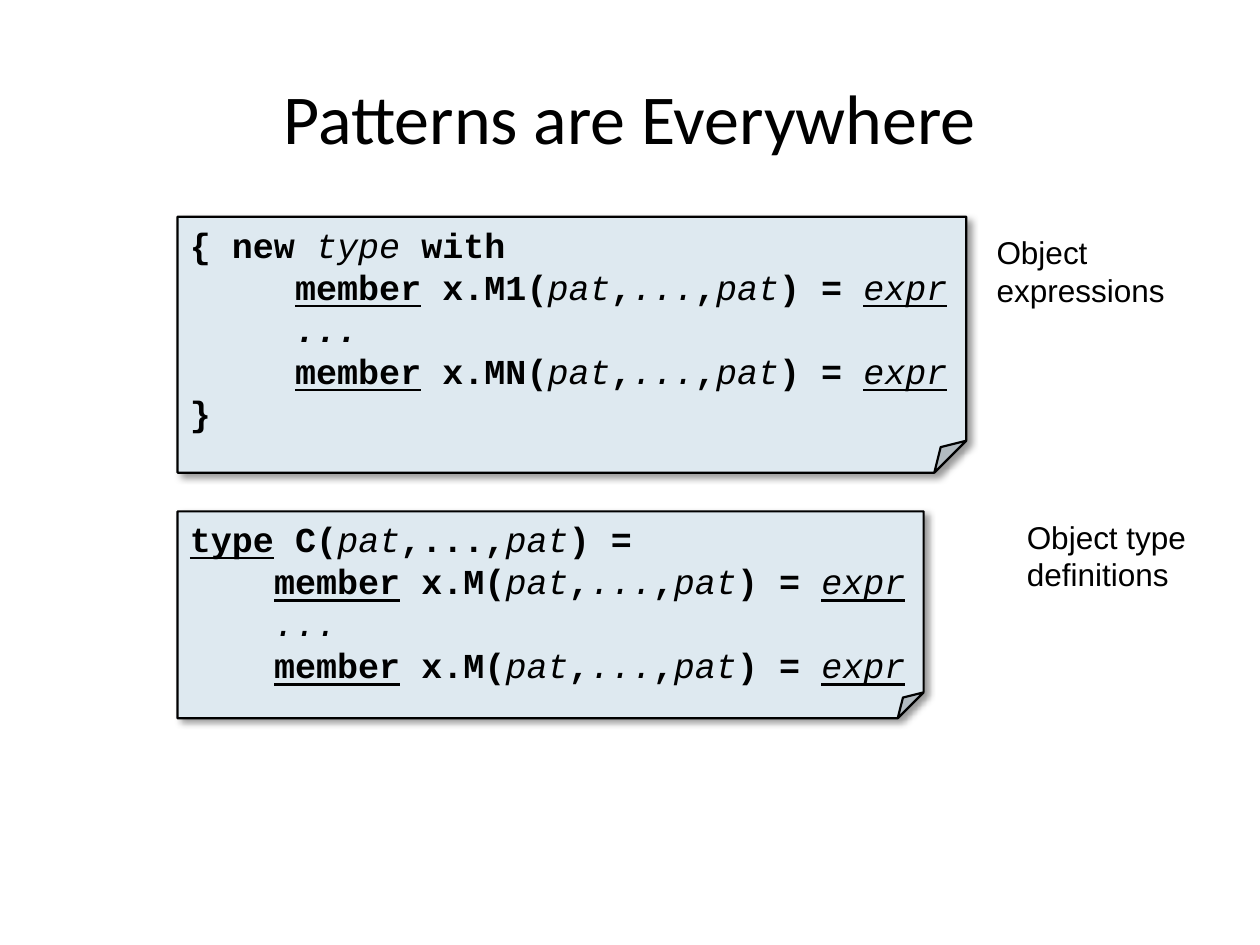
from typing import NamedTuple

from lxml.etree import SubElement
from pptx import Presentation
from pptx.dml.color import RGBColor
from pptx.enum.shapes import MSO_SHAPE
from pptx.enum.text import MSO_ANCHOR, MSO_AUTO_SIZE, PP_ALIGN
from pptx.oxml.ns import qn
from pptx.shapes.autoshape import Shape
from pptx.slide import Slide
from pptx.text.text import TextFrame
from pptx.util import Cm, Pt

BLACK = RGBColor(0x00, 0x00, 0x00)
NOTE_BLUE = RGBColor(0xDE, 0xE9, 0xF0)


class Piece(NamedTuple):
    text: str
    bold: bool = False
    italic: bool = False
    underline: bool = False


class Box(NamedTuple):
    left: float
    top: float
    width: float
    height: float


class Note(NamedTuple):
    box: Box
    lines: list[list[Piece]]


class Label(NamedTuple):
    box: Box
    lines: list[str]


def code(text: str) -> Piece:
    return Piece(text, bold=True)


def keyword(text: str) -> Piece:
    return Piece(text, bold=True, underline=True)


def variable(text: str) -> Piece:
    return Piece(text, italic=True)


PATTERN = variable("pat")
ELLIPSIS = variable("...")
EXPRESSION = Piece("expr", italic=True, underline=True)


def member_line(indent: str, method: str) -> list[Piece]:
    return [code(indent), keyword("member"), code(f" x.{method}("), PATTERN, code(","),
            ELLIPSIS, code(","), PATTERN, code(") = "), EXPRESSION]


NOTES = [
    Note(Box(3.58, 4.37, 15.9, 5.16), [
        [code("{ new "), variable("type"), code(" with")],
        member_line("     ", "M1"),
        [Piece("     ...", bold=True, italic=True)],
        member_line("     ", "MN"),
        [code("}")],
    ]),
    Note(Box(3.58, 10.31, 15.04, 4.17), [
        [keyword("type"), code(" C("), PATTERN, code(",...,"), PATTERN, code(") =")],
        member_line("    ", "M"),
        [variable("    ...")],
        member_line("    ", "M"),
    ]),
]

LABELS = [
    Label(Box(19.84, 4.57, 3.94, 1.8), ["Object", "expressions"]),
    Label(Box(20.45, 10.31, 3.76, 1.8), ["Object type", "definitions"]),
]


def write_lines(frame: TextFrame, lines: list[list[Piece]], font_name: str, size: float,
                alignment: PP_ALIGN = PP_ALIGN.LEFT) -> None:
    for index, pieces in enumerate(lines):
        paragraph = frame.add_paragraph() if index else frame.paragraphs[0]
        paragraph.alignment = alignment
        for piece in pieces:
            run = paragraph.add_run()
            run.text = piece.text
            font = run.font
            font.name = font_name
            font.size = Pt(size)
            font.color.rgb = BLACK
            font.bold = piece.bold
            font.italic = piece.italic
            font.underline = piece.underline


def add_shadow(shape: Shape) -> None:
    """Give the shape a soft black shadow to the lower right."""
    shape.shadow.inherit = False
    effects = shape._element.spPr.find(qn("a:effectLst"))
    shadow = SubElement(effects, qn("a:outerShdw"), blurRad=str(int(Pt(4))),
                        dist=str(int(Pt(3))), dir=str(45 * 60000), algn="tl",
                        rotWithShape="0")
    color = SubElement(shadow, qn("a:srgbClr"), val=str(BLACK))
    SubElement(color, qn("a:alpha"), val="40000")


def set_fold(shape: Shape, share: float) -> None:
    """Set the size of the folded corner as a share of the shorter side."""
    geometry = shape._element.spPr.find(qn("a:prstGeom"))
    guides = geometry.find(qn("a:avLst"))
    for guide in list(guides):
        guides.remove(guide)
    SubElement(guides, qn("a:gd"), name="adj", fmla=f"val {round(share * 100000)}")


def fit_to_text(frame: TextFrame) -> None:
    frame.word_wrap = False
    frame.auto_size = MSO_AUTO_SIZE.SHAPE_TO_FIT_TEXT


def add_title(slide: Slide, text: str) -> None:
    title = slide.shapes.add_textbox(Cm(1.27), Cm(0.76), Cm(22.86), Cm(3.18))
    frame = title.text_frame
    frame.word_wrap = True
    frame.vertical_anchor = MSO_ANCHOR.MIDDLE
    write_lines(frame, [[Piece(text)]], "Calibri", 40, PP_ALIGN.CENTER)


def add_note(slide: Slide, note: Note) -> None:
    shape = slide.shapes.add_shape(MSO_SHAPE.FOLDED_CORNER, *map(Cm, note.box))
    set_fold(shape, 0.125)
    shape.fill.solid()
    shape.fill.fore_color.rgb = NOTE_BLUE
    shape.line.color.rgb = BLACK
    shape.line.width = Pt(1.25)
    add_shadow(shape)
    frame = shape.text_frame
    fit_to_text(frame)
    frame.vertical_anchor = MSO_ANCHOR.MIDDLE
    write_lines(frame, note.lines, "Courier New", 20)


def add_label(slide: Slide, label: Label) -> None:
    frame = slide.shapes.add_textbox(*map(Cm, label.box)).text_frame
    fit_to_text(frame)
    write_lines(frame, [[Piece(line)] for line in label.lines], "Arial", 18)


def main() -> None:
    presentation = Presentation()
    presentation.slide_width = Cm(25.4)
    presentation.slide_height = Cm(19.05)
    slide = presentation.slides.add_slide(presentation.slide_layouts[6])
    add_title(slide, "Patterns are Everywhere")
    for note in NOTES:
        add_note(slide, note)
    for label in LABELS:
        add_label(slide, label)
    presentation.save("out.pptx")


if __name__ == "__main__":
    main()
